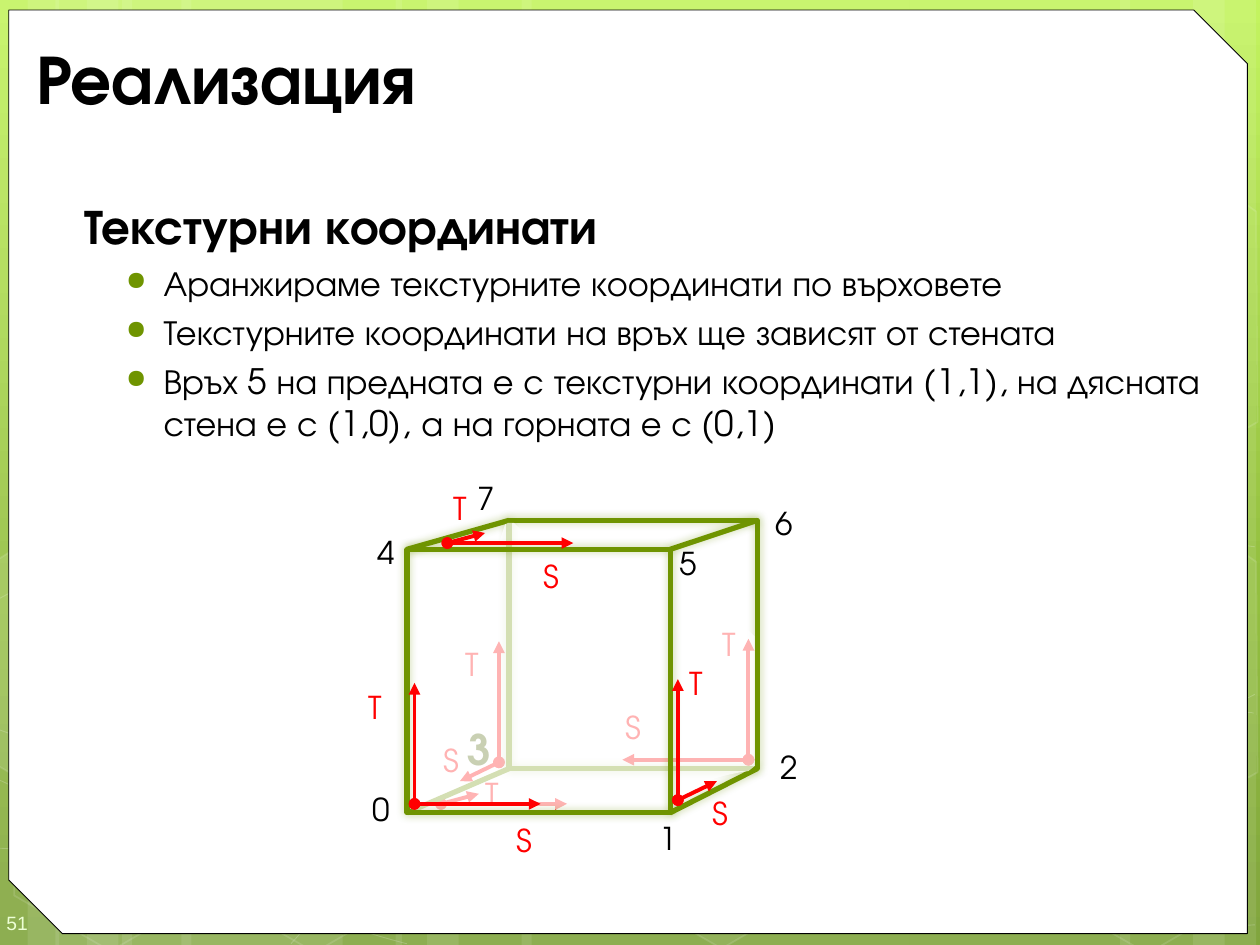
from lxml import etree
from pptx import Presentation
from pptx.dml.color import RGBColor
from pptx.enum import shapes, text
from pptx.oxml.ns import qn
from pptx.util import Inches, Pt

FONT = "TeX Gyre Adventor"
GREEN, RED, BLACK, WHITE = "6F9400", "FF0000", "000000", "FFFFFF"


def rgb(value):
    return RGBColor.from_string(value)


def node(parent, tag, **attrs):
    return etree.SubElement(parent, qn(tag), {k: str(v) for k, v in attrs.items()})


def set_effect(sp, glow=False):
    props = sp._element.spPr
    for old in props.findall(qn("a:effectLst")):
        props.remove(old)
    effects = node(props, "a:effectLst")
    if glow:
        shadow = node(effects, "a:outerShdw", blurRad=Pt(5), dist=0, dir=0,
                      algn="ctr", rotWithShape=0)
        node(node(shadow, "a:srgbClr", val=GREEN), "a:alpha", val=40000)


def style(sp, fill=None, line=None, width=1, fill_alpha=None, line_alpha=None, glow=False):
    if fill:
        sp.fill.solid()
        sp.fill.fore_color.rgb = rgb(fill)
    else:
        sp.fill.background()
    if line:
        sp.line.color.rgb = rgb(line)
        sp.line.width = Pt(width)
    else:
        sp.line.fill.background()
    props = sp._element.spPr
    for where, alpha in (("a:solidFill", fill_alpha), ("a:ln/a:solidFill", line_alpha)):
        if alpha:
            steps = "/".join(qn(step) for step in where.split("/"))
            color = props.find(steps + "/" + qn("a:srgbClr"))
            node(color, "a:alpha", val=alpha * 1000)
    set_effect(sp, glow)


def add_box(s, kind, x, y, w, h, **fmt):
    sp = s.shapes.add_shape(kind, Inches(x), Inches(y), Inches(w), Inches(h))
    style(sp, **fmt)
    return sp


def add_path(s, dx, dy, start, steps, close=True, **fmt):
    points = [start] + [step[i:i + 2] for step in steps for i in range(0, len(step), 2)]
    points = [(Inches(x + dx), Inches(y + dy)) for x, y in points]
    builder = s.shapes.build_freeform(*points[0])
    builder.add_line_segments(points[1:], close=close)
    sp = builder.convert_to_shape()
    outline = sp._element.spPr.find(".//" + qn("a:path"))
    segments = iter(outline.findall(qn("a:lnTo")))
    for step in steps:
        first = next(segments)
        if len(step) == 6:
            first.tag = qn("a:cubicBezTo")
            for follower in (next(segments), next(segments)):
                first.append(follower[0])
                outline.remove(follower)
    style(sp, **fmt)


def add_line(s, x1, y1, x2, y2, color, width, arrow=False, glow=False):
    line = s.shapes.add_connector(shapes.MSO_CONNECTOR.STRAIGHT,
                                  Inches(x1), Inches(y1), Inches(x2), Inches(y2))
    line.line.color.rgb = rgb(color)
    line.line.width = Pt(width)
    if arrow:
        ln = line.line._get_or_add_ln()
        node(ln, "a:headEnd", type="oval")
        node(ln, "a:tailEnd", type="triangle")
    set_effect(line, glow)


def write(p, content, size=18, color=BLACK, bold=False, font=FONT, align=None):
    r = p.add_run()
    r.text = content
    r.font.size, r.font.bold, r.font.name = Pt(size), bold, font
    r.font.color.rgb = rgb(color)
    if align:
        p.alignment = align


def add_text(s, x, y, w, h, content, insets=(0.1, 0.05, 0.1, 0.05),
             anchor=text.MSO_ANCHOR.MIDDLE, **fmt):
    tf = s.shapes.add_textbox(Inches(x), Inches(y), Inches(w), Inches(h)).text_frame
    tf.word_wrap = True
    tf.vertical_anchor = anchor
    tf.margin_left, tf.margin_top, tf.margin_right, tf.margin_bottom = map(Inches, insets)
    write(tf.paragraphs[0], content, **fmt)
    return tf


def backdrop(s, x, y, w, h):
    fill = s.background.fill
    fill.gradient()
    fill.gradient_angle = 270
    stops = s.element.find(".//" + qn("a:gsLst"))
    for old in list(stops):
        stops.remove(old)
    for pos, color in ((0, "C3F35F"), (62, "93BF3F"), (100, "81A53E")):
        node(node(stops, "a:gs", pos=pos * 1000), "a:srgbClr", val=color)

    strips = [(0.97, 1.75), (-0.03, 0.5), (0.22, 0.83), (1.44, 1.75), (0.44, 0.5), (0.69, 0.83),
              (7.22, 1.75), (9.47, 0.5), (8.89, 0.83), (4.14, 3.08), (3.14, 0.5), (3.39, 0.83)]
    for left, width in strips:
        add_box(s, shapes.MSO_SHAPE.RECTANGLE, x + left, y, width, h, fill=WHITE, fill_alpha=10)

    curves = [
        ((-0.04, 6.73), [(0.5, 6.76, 1.04, 6.79, 1.79, 6.78), (2.54, 6.77, 3.46, 6.75, 4.47, 6.65),
                         (5.47, 6.55, 6.89, 6.36, 7.8, 6.17), (8.72, 5.98, 9.66, 5.68, 9.96, 5.51)]),
        ((-0.04, 4.77), [(0.25, 4.61, 0.54, 4.46, 1.1, 4.31), (1.67, 4.16, 2.47, 3.94, 3.36, 3.87),
                         (4.25, 3.8, 5.33, 3.79, 6.43, 3.87), (7.53, 3.95, 9.36, 4.26, 9.96, 4.34)]),
        ((-0.05, 6.17), [(1.15, 6.72, 2.36, 7.27, 3.23, 7.49)]),
        ((-0.04, 5.78), [(0.27, 5.89, 0.59, 6, 1.17, 6.16), (1.75, 6.31, 2.62, 6.56, 3.45, 6.73),
                         (4.29, 6.9, 5.34, 7.08, 6.17, 7.18), (6.99, 7.29, 7.89, 7.33, 8.41, 7.36),
                         (8.94, 7.4, 9.08, 7.38, 9.34, 7.38), (9.59, 7.37, 9.78, 7.35, 9.96, 7.34)]),
        ((2.31, 7.49), [(2.49, 7.29, 2.67, 7.09, 2.91, 6.91), (3.15, 6.73, 3.49, 6.53, 3.76, 6.39),
                        (4.04, 6.25, 4.22, 6.19, 4.58, 6.09), (4.95, 5.99, 5.62, 5.85, 5.97, 5.78),
                        (6.32, 5.71, 6.38, 5.71, 6.69, 5.69), (7, 5.66, 7.49, 5.63, 7.83, 5.62),
                        (8.17, 5.61, 8.75, 5.62, 8.75, 5.62), (9.41, 5.62),
                        (9.6, 5.63, 9.77, 5.64, 9.86, 5.65), (9.94, 5.66, 9.91, 5.65, 9.95, 5.66)]),
    ]
    for start, steps in curves:
        add_path(s, x, y, start, steps, close=False, line=WHITE, width=0.5, line_alpha=20)

    for left, top, alpha in ((4.85, 5.89, 6), (0, 5.91, None), (1.62, 5.92, None), (8.23, 5.93, None)):
        cell = add_box(s, shapes.MSO_SHAPE.HEXAGON, x + left, y + top, 1.75, 1.52,
                       fill=WHITE if alpha else None, fill_alpha=alpha, line=WHITE, line_alpha=12)
        cell.adjustments[0] = 0.285
        cell.rotation = 30

    add_path(s, x, y, (-0.03, 4.45),
             [(0.08, 4.38), (0.85, 4.82), (0.84, 5.7), (0.09, 6.14), (-0.03, 6.07)],
             fill=WHITE, fill_alpha=10, line=WHITE, line_alpha=12)
    side_cell = [(9.9, 4.41), (9.97, 4.46), (9.98, 6.13), (9.91, 6.17), (9.14, 5.73)]
    for rise, alpha in ((0, 4), (-2.78, None)):
        add_path(s, x, y + rise, (9.15, 4.85), side_cell, fill=WHITE if alpha else None,
                 fill_alpha=alpha, line=WHITE, line_alpha=12)


def panel(s, x, y, w, h):
    sp = add_box(s, shapes.MSO_SHAPE.SNIP_2_DIAG_RECTANGLE, x, y, w, h,
                 fill=WHITE, line=BLACK, width=0.5)
    sp.adjustments[0], sp.adjustments[1] = 0, 0.058


def body(s, x, y, w, h, heading, items):
    tf = add_text(s, x, y, w, h, heading, anchor=text.MSO_ANCHOR.TOP, size=28, bold=True)
    tf.paragraphs[0]._p.get_or_add_pPr().set("marL", str(Inches(0.07)))
    for item in items:
        p = tf.add_paragraph()
        props = p._p.get_or_add_pPr()
        props.set("marL", str(Inches(0.7)))
        props.set("indent", str(Inches(-0.3)))
        p.space_before = Pt(4)
        node(node(props, "a:buClr"), "a:srgbClr", val=GREEN)
        node(props, "a:buSzPct", val=75000)
        node(props, "a:buChar", char="●")
        write(p, item, size=20)


def axes(s, x, y, groups):
    for left, top, *tips in groups:
        for dx, dy in tips:
            add_line(s, x + left, y + top, x + left + dx, y + top + dy, RED, 2.25, arrow=True)


def labels(s, x, y, marks, **fmt):
    for mark, left, top in marks:
        add_text(s, x + left, y + top, 0.45, 0.4, mark, insets=(0, 0.05, 0, 0.05),
                 align=text.PP_ALIGN.CENTER, **fmt)


def cube(s, x, y, w, h):
    front, back = (0.48, 0.61, 2.09), (1.29, 0.38, 1.97)
    up, along, inward = (0, -0.96), (1, 0), (0.3, -0.08)

    def face(left, top, side):
        add_box(s, shapes.MSO_SHAPE.RECTANGLE, x + left, y + top, side, side,
                line=GREEN, width=3, glow=True)

    labels(s, x, y, [("T", 0.93, 2.35), ("T", 0.77, 1.32), ("T", 2.81, 1.16),
                     ("S", 0.61, 2.08), ("S", 2.05, 1.82)], color=RED)
    axes(s, x, y, [(0.75, 2.63, inward, along), (1.21, 2.3, (-0.31, 0.15), up),
                   (3.19, 2.28, up, (-1, 0))])
    face(*back)
    for i in (0, 1):
        for j in (0, 1):
            ends = [(x + left + i * side, y + top + j * side) for left, top, side in (front, back)]
            add_line(s, *ends[0], *ends[1], GREEN, 3, glow=(i, j) != (0, 1))
    labels(s, x, y, [("0", 0.05, 2.47), ("1", 2.33, 2.7), ("2", 3.29, 2.14), ("4", 0.09, 0.43),
                     ("5", 2.49, 0.52), ("6", 3.25, 0.2), ("7", 0.88, 0)])
    labels(s, x, y, [("3", 0.83, 1.99)], size=24, color="4A6300", bold=True)
    add_path(s, x, y, (0.5, 2.67),
             [(1.26, 0.41), (1.27, 0.41, 1.28, 0.4, 1.28, 0.4), (1.33, 0.4),
              (1.79, 0.87, 2.78, 0.83, 3.24, 1.3), (3.24, 2.33), (3.19, 2.37),
              (2.85, 2.41, 2.45, 2.63, 2.11, 2.67), (0.58, 2.68)],
             fill=WHITE, fill_alpha=70)
    face(*front)
    axes(s, x, y, [(0.54, 2.63, up, along), (2.63, 2.6, up, (0.31, -0.15)),
                   (0.8, 0.56, inward, along)])
    labels(s, x, y, [("S", 1.19, 2.72), ("S", 2.74, 2.5), ("S", 1.4, 0.62),
                     ("T", 2.55, 1.47), ("T", 0.68, 0.08), ("T", 0, 1.66)], color=RED)


def main():
    prs = Presentation()
    prs.slide_width, prs.slide_height = Inches(10), Inches(7.5)
    s = prs.slides.add_slide(prs.slide_layouts[6])
    backdrop(s, 0, 0, 10, 7.5)
    panel(s, 0.07, 0.08, 9.83, 7.33)
    add_text(s, 0, 7.1, 0.58, 0.4, "51", insets=(0.05, 0.15, 0, 0.1),
             size=11, color="EEFFD6", font="Arial")
    add_text(s, 0.19, 0.25, 9.47, 0.71, "Реализация", size=40, bold=True)
    body(s, 0.5, 1.5, 9.42, 5.92, "Текстурни координати", [
        "Аранжираме текстурните координати по върховете",
        "Текстурните координати на връх ще зависят от стената",
        "Връх 5 на предната е с текстурни координати (1,1), на дясната стена е с (1,0), "
        "а на горната е с (0,1)"])
    cube(s, 2.75, 3.75, 3.74, 3.12)
    prs.save("out.pptx")


if __name__ == "__main__":
    main()
